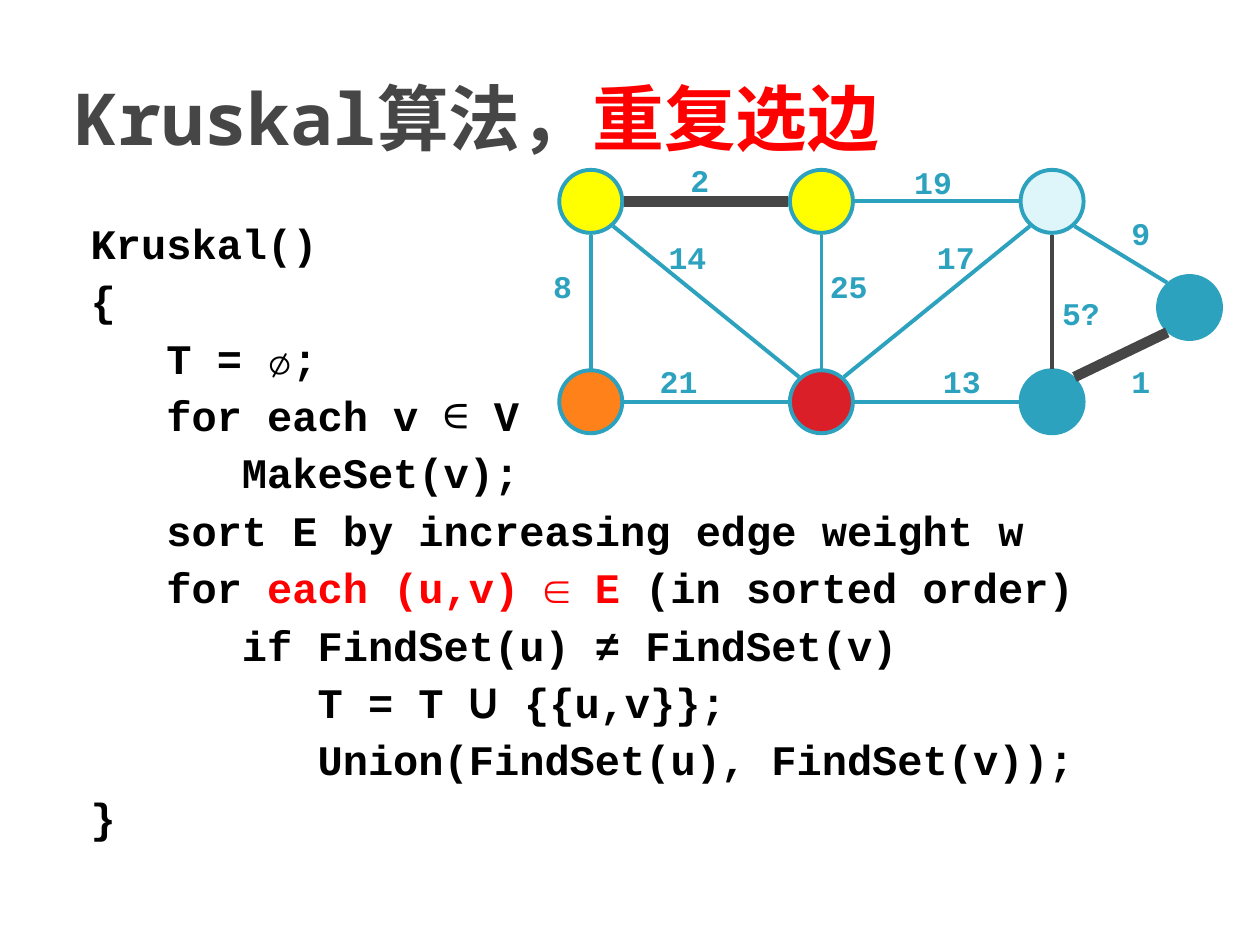
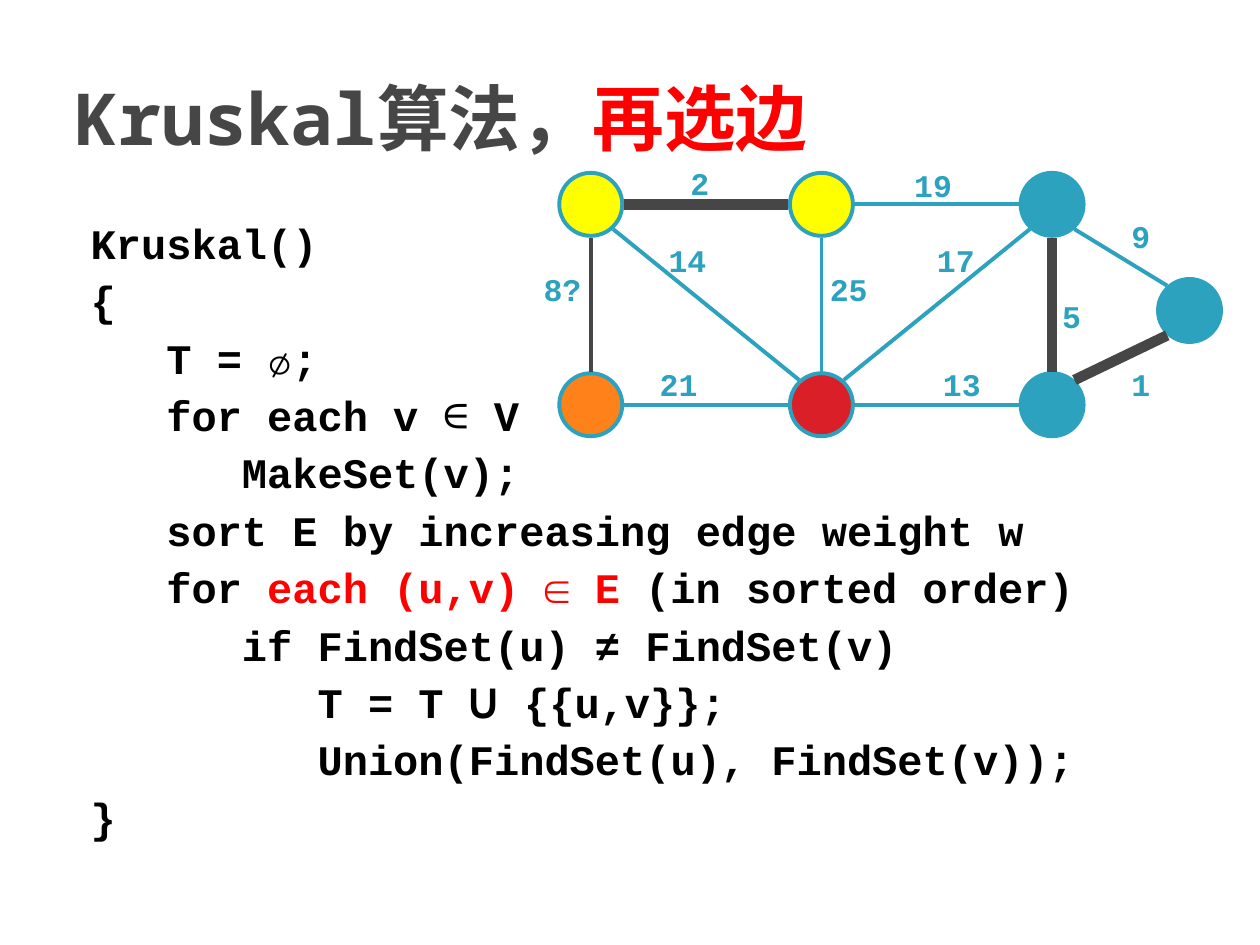
from dataclasses import dataclass

from pptx import Presentation
from pptx import util as u
from pptx.dml.color import RGBColor
from pptx.enum import shapes, text
from pptx.oxml import ns, xmlchemy


@dataclass(frozen=True)
class Theme:
    teal: str = "2DA2BF"
    pale: str = "DEF5FA"
    yellow: str = "FFFF00"
    orange: str = "FF8119"
    crimson: str = "DA1F28"
    dark: str = "464646"
    red: str = "FF0000"
    black: str = "000000"
    mono: str = "Courier New"
    sans_mono: str = "Noto Sans Mono"
    plain: str = "Cabin"
    title_size: float = 41
    code_size: float = 24
    weight_size: float = 18
    thin: float = 2.25
    thick: float = 6


T = Theme()

# Content: a code line is a list of (text, changes to the code format)
RED = {"color": T.red}
CODE = [
    [("Kruskal()", {})],
    [("{", {})],
    [("   T = ∅;", {})],
    [("   for each v ", {}), ("∈", {"name": T.sans_mono, "bold": False}), (" V", {})],
    [("      MakeSet(v);", {})],
    [("   sort E by increasing edge weight w", {})],
    [("   for ", {}), ("each (u,v) ∈ E ", RED), ("(in sorted order)", {})],
    [("      if FindSet(u) ≠ FindSet(v)", {})],
    [("         T = T ", {}), ("U", {"name": T.plain}), (" {{u,v}};", {})],
    [("         Union(FindSet(u), FindSet(v));", {})],
    [("}", {})],
]

# Graph: node centres on three columns and two rows, in cm
COLS = [11.91 + 4.65 * i for i in range(3)]
TOP, BOTTOM = 4.06, 8.1
NODES = {
    "a": (COLS[0], TOP), "b": (COLS[1], TOP), "c": (COLS[2], TOP),
    "d": (COLS[2], BOTTOM), "e": (23.98, 6.2),
    "f": (COLS[1], BOTTOM), "g": (COLS[0], BOTTOM),
}
NODE_FILLS = {"a": T.yellow, "b": T.yellow, "c": T.teal, "d": T.teal,
              "e": T.teal, "f": T.crimson, "g": T.orange}

# Edges: from, to, weight, centre of the weight label
EDGES = [
    ("a", "b", 2, (14.11, 3.67)), ("b", "c", 19, (18.81, 3.7)),
    ("c", "f", 17, (19.27, 5.22)), ("f", "g", 21, (13.68, 7.71)),
    ("g", "a", 8, (11.34, 5.8)), ("a", "f", 14, (13.86, 5.22)),
    ("f", "b", 25, (17.11, 5.8)), ("f", "d", 13, (19.39, 7.71)),
    ("d", "c", 5, (21.63, 6.34)), ("c", "e", 9, (23, 4.74)),
    ("d", "e", 1, (23, 7.71)),
]
LEFT_ALIGNED = {5}

SLIDES = [
    {"step": "重复选边", "chosen": {2, 1}, "asked": 5, "fills": {"c": T.pale}, "shift": 0},
    {"step": "再选边", "chosen": {2, 1, 5}, "asked": 8, "fills": {}, "shift": 0.06},
]

DIAMETER = 1.27
STRAIGHT_GAP = 0.67
DIAGONAL_GAP = (0.45, 0.5)
LABEL_HEIGHT, LABEL_PAD, CHAR_WIDTH = 1.09, 0.54, 0.4

TITLE_FORMAT = {"name": T.sans_mono, "size": u.Pt(T.title_size), "bold": True, "color": T.dark}
CODE_FORMAT = {"name": T.mono, "size": u.Pt(T.code_size), "bold": True, "color": T.black}
WEIGHT_FORMAT = {"name": T.mono, "size": u.Pt(T.weight_size), "bold": True, "color": T.teal}


def rgb(value):
    return RGBColor.from_string(value)


def add_runs(p, runs, base):
    for words, changes in runs:
        r = p.add_run()
        r.text = words
        fmt = {**base, **changes}
        r.font.color.rgb = rgb(fmt.pop("color"))
        for name, value in fmt.items():
            setattr(r.font, name, value)
        ea = xmlchemy.OxmlElement("a:ea")
        ea.set("typeface", fmt["name"])
        r.font._element.append(ea)


def add_box(s, x, y, w, h, **frame):
    tf = s.shapes.add_textbox(u.Cm(x), u.Cm(y), u.Cm(w), u.Cm(h)).text_frame
    for name, value in {"word_wrap": True, **frame}.items():
        setattr(tf, name, value)
    return tf


def add_title(s, step):
    tf = add_box(s, 1.27, 0.76, 22.86, 3.18, vertical_anchor=text.MSO_ANCHOR.MIDDLE)
    add_runs(tf.paragraphs[0], [("Kruskal算法，", {}), (step, RED)], TITLE_FORMAT)


def add_code(s):
    tf = add_box(s, 1.27, 4.11, 22.86, 12.57, margin_top=u.Cm(0.27))
    for i, line in enumerate(CODE):
        p = tf.add_paragraph() if i else tf.paragraphs[0]
        p.line_spacing = u.Pt(1.2 * T.code_size)
        p.space_before = u.Pt(4 if i else 0)
        pPr = p._p.get_or_add_pPr()
        for name, value in {"marL": 1.02, "indent": -0.71}.items():
            pPr.set(name, str(int(u.Cm(value))))
        add_runs(p, line, CODE_FORMAT)


def add_node(s, x, y, fill):
    r = DIAMETER / 2
    sp = s.shapes.add_shape(shapes.MSO_SHAPE.OVAL, u.Cm(x - r), u.Cm(y - r),
                            u.Cm(DIAMETER), u.Cm(DIAMETER))
    sp.shadow.inherit = False
    sp.fill.solid()
    sp.fill.fore_color.rgb = rgb(fill)
    sp.line.color.rgb = rgb(T.teal)
    sp.line.width = u.Pt(T.thin)


def sign(value):
    return (value > 0) - (value < 0)


def add_edge(s, start, end, color, width):
    """Join two node centres, stopping just outside both circles."""
    way = [sign(b - a) for a, b in zip(start, end)]
    gaps = DIAGONAL_GAP if all(way) else (STRAIGHT_GAP, STRAIGHT_GAP)
    dx, dy = (w * g for w, g in zip(way, gaps))
    ends = (start[0] + dx, start[1] + dy, end[0] - dx, end[1] - dy)
    line = s.shapes.add_connector(shapes.MSO_CONNECTOR.STRAIGHT, *map(u.Cm, ends))
    line.line.color.rgb = rgb(color)
    line.line.width = u.Pt(width)
    line._element.find(ns.qn("p:spPr")).append(xmlchemy.OxmlElement("a:effectLst"))


def add_weight(s, weight, asked, x, y):
    label = f"{weight}?" if asked else str(weight)
    width = LABEL_PAD + CHAR_WIDTH * len(label)
    base = LABEL_PAD + CHAR_WIDTH * len(str(weight))
    left_aligned = weight in LEFT_ALIGNED
    left = x - (base if left_aligned else width) / 2
    tf = add_box(s, left, y - LABEL_HEIGHT / 2, width, LABEL_HEIGHT, word_wrap=False,
                 auto_size=text.MSO_AUTO_SIZE.SHAPE_TO_FIT_TEXT)
    p = tf.paragraphs[0]
    p.alignment = text.PP_ALIGN.LEFT if left_aligned else text.PP_ALIGN.CENTER
    add_runs(p, [(label, {})], WEIGHT_FORMAT)


def add_graph(s, state):
    shift, asked = state["shift"], state["asked"]
    nodes = {name: (x, y + shift) for name, (x, y) in NODES.items()}
    fills = {**NODE_FILLS, **state["fills"]}
    for name, (x, y) in nodes.items():
        add_node(s, x, y, fills[name])
    for start, end, weight, _ in EDGES:
        chosen = weight in state["chosen"]
        color = T.dark if chosen or weight == asked else T.teal
        add_edge(s, nodes[start], nodes[end], color, T.thick if chosen else T.thin)
    for *_, weight, (x, y) in EDGES:
        add_weight(s, weight, weight == asked, x, y + shift)


def main():
    prs = Presentation()
    prs.slide_width, prs.slide_height = u.Cm(25.4), u.Cm(19.05)
    for state in SLIDES:
        s = prs.slides.add_slide(prs.slide_layouts[6])
        add_title(s, state["step"])
        add_code(s)
        add_graph(s, state)
    prs.save("out.pptx")


if __name__ == "__main__":
    main()
